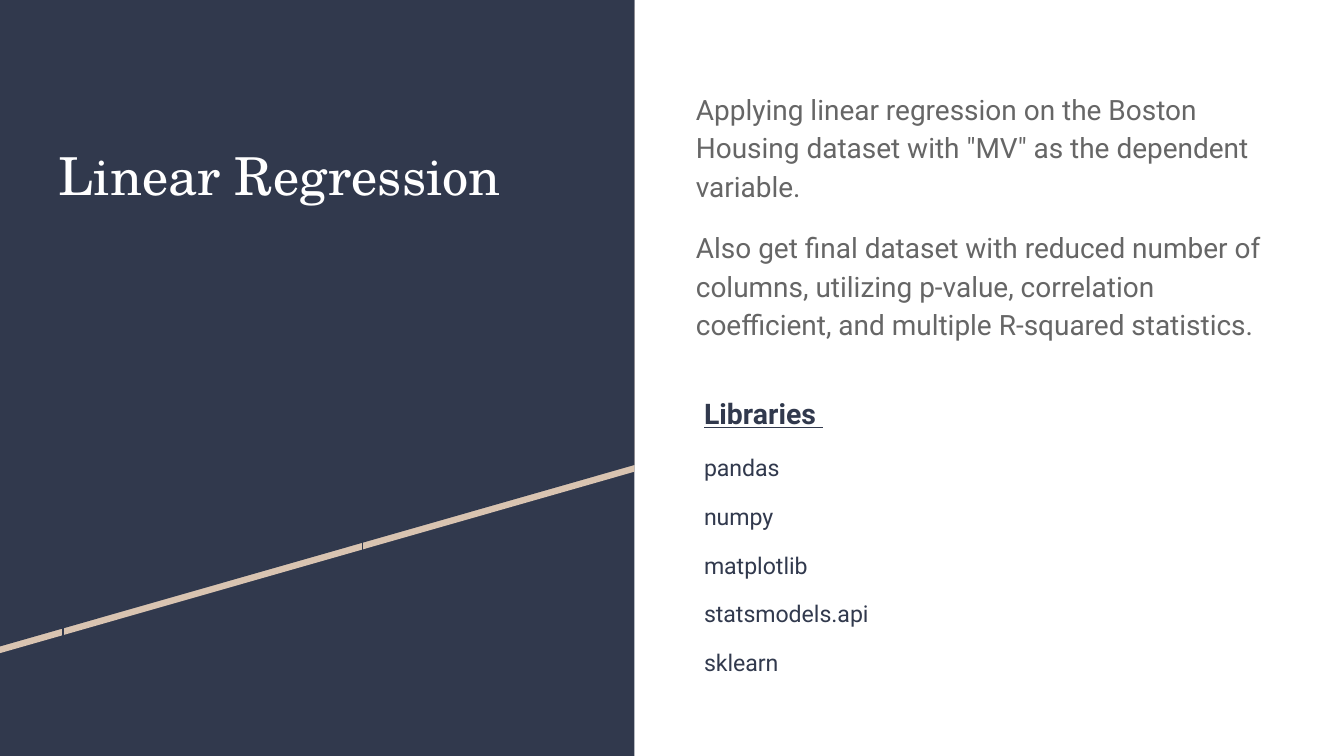
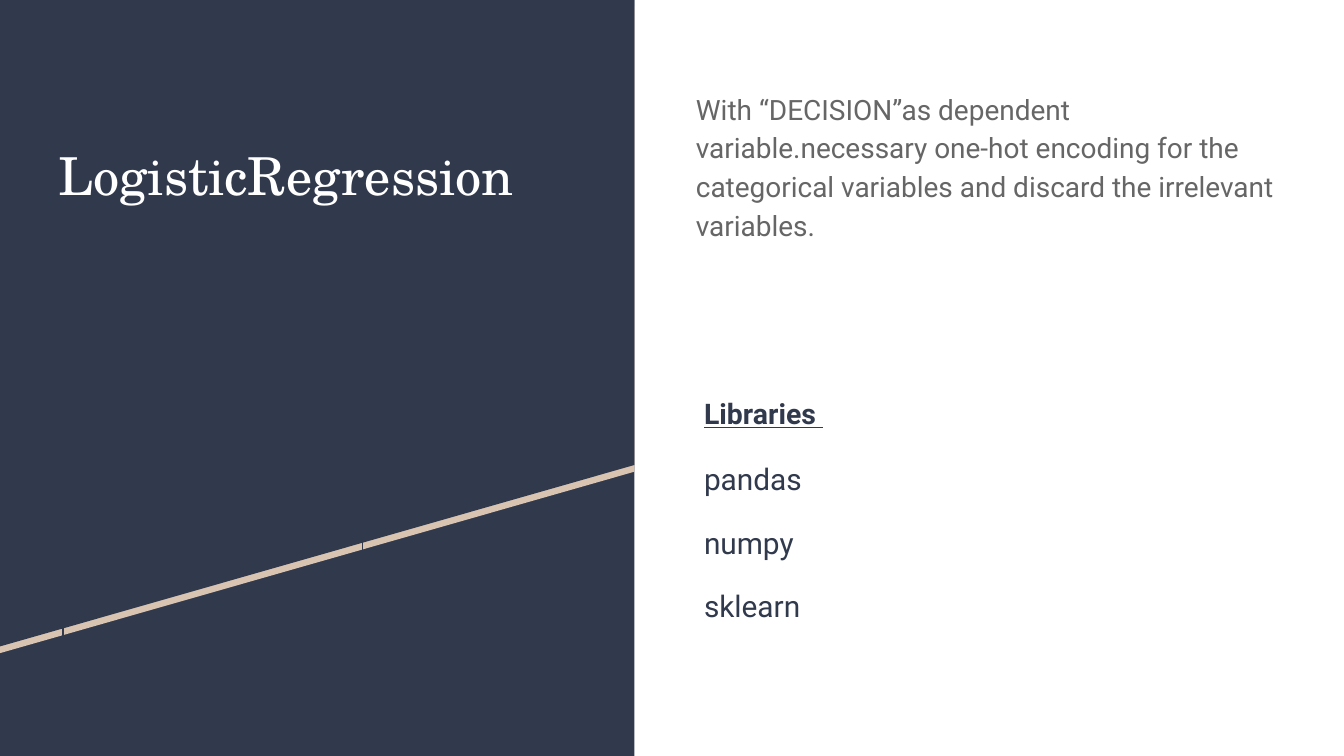
"""Build two split-panel slides on linear and logistic regression."""
from pptx import Presentation
from pptx.dml.color import RGBColor
from pptx.enum.shapes import MSO_SHAPE as Preset
from pptx.enum.text import MSO_ANCHOR as Anchor
from pptx.util import Inches, Pt

NAVY = RGBColor(0x31, 0x39, 0x4D)
SAND = RGBColor(0xD9, 0xC4, 0xB1)
GRAY = RGBColor(0x66, 0x66, 0x66)
WHITE = RGBColor(0xFF, 0xFF, 0xFF)

PANEL_WIDTH = 4.72
SLIDE_WIDTH = Inches(10)
SLIDE_HEIGHT = SLIDE_WIDTH * 9 // 16
GAP = Pt(12)

TITLE = {"name": "TeX Gyre Schola", "size": Pt(28)}
BODY = {"name": "Roboto", "size": Pt(15)}
HEADING = {"name": "Roboto", "size": Pt(15.2), "bold": True, "underline": True}

TOPICS = [
    {
        "title": "Linear Regression",
        "body": [
            'Applying linear regression on the Boston Housing dataset with "MV" '
            "as the dependent variable.",
            "Also get final dataset with reduced number of columns, utilizing p-value, "
            "correlation coefficient, and multiple R-squared statistics.",
        ],
        "libraries": ["pandas", "numpy", "matplotlib", "statsmodels.api", "sklearn"],
        "library_size": 12.4,
        "library_spacing": 0.95,
    },
    {
        "title": "LogisticRegression",
        "body": [
            "With “DECISION”as dependent variable.necessary one-hot encoding for the "
            "categorical variables and discard the irrelevant variables.",
        ],
        "libraries": ["pandas", "numpy", "sklearn"],
        "library_size": 16,
        "library_spacing": 1.15,
    },
]


def paint(shape, fill=None, line=None):
    shape.shadow.inherit = False
    if fill is None:
        shape.fill.background()
    else:
        shape.fill.solid()
        shape.fill.fore_color.rgb = fill
    if line is None:
        shape.line.fill.background()
    else:
        shape.line.color.rgb = line
        shape.line.width = Pt(0.75)


def add_text(slide, box, lines, font, color, spacing=1.0, top_inset=0.1):
    frame = slide.shapes.add_textbox(*map(Inches, box)).text_frame
    frame.word_wrap = True
    frame.vertical_anchor = Anchor.TOP
    frame.margin_left = frame.margin_right = frame.margin_bottom = Inches(0.1)
    frame.margin_top = Inches(top_inset)
    for index, line in enumerate(lines):
        paragraph = frame.paragraphs[0] if index == 0 else frame.add_paragraph()
        paragraph.line_spacing = spacing
        paragraph.space_before = GAP if index else Pt(0)
        run = paragraph.add_run()
        run.text = line
        run.font.color.rgb = color
        for attribute, value in font.items():
            setattr(run.font, attribute, value)


presentation = Presentation()
presentation.slide_width = SLIDE_WIDTH
presentation.slide_height = SLIDE_HEIGHT

for topic in TOPICS:
    slide = presentation.slides.add_slide(presentation.slide_layouts[6])
    slide.background.fill.solid()
    slide.background.fill.fore_color.rgb = WHITE

    panel = slide.shapes.add_shape(
        Preset.RECTANGLE, 0, 0, Inches(PANEL_WIDTH), SLIDE_HEIGHT)
    paint(panel, fill=NAVY)

    for top, color in ((0.05, SAND), (0, NAVY)):
        outline = slide.shapes.build_freeform(0, Inches(top), scale=1.0)
        corners = [(PANEL_WIDTH, top), (PANEL_WIDTH, top + 3.46), (0, top + 4.81)]
        outline.add_line_segments([(Inches(x), Inches(y)) for x, y in corners])
        paint(outline.convert_to_shape(), fill=color)

    add_text(slide, (0.34, 0.55, 4.05, 2.74), [topic["title"]], TITLE, WHITE,
             top_inset=0.67)
    add_text(slide, (5.08, 0.55, 4.56, 4.48), topic["body"], BODY, GRAY, 1.15)

    for height, colors in ((0.35, {"fill": NAVY}), (2.57, {"line": NAVY})):
        card = slide.shapes.add_shape(
            Preset.RECTANGLE, Inches(0.47), Inches(2.59), Inches(2.23), Inches(height))
        paint(card, **colors)

    add_text(slide, (5.14, 2.81, 2.11, 0.35), ["Libraries "], HEADING, NAVY, 1.15)
    library_font = {"name": "Roboto", "size": Pt(topic["library_size"])}
    add_text(slide, (5.14, 3.29, 2.23, 1.87), topic["libraries"], library_font, NAVY,
             topic["library_spacing"])

presentation.save("out.pptx")
